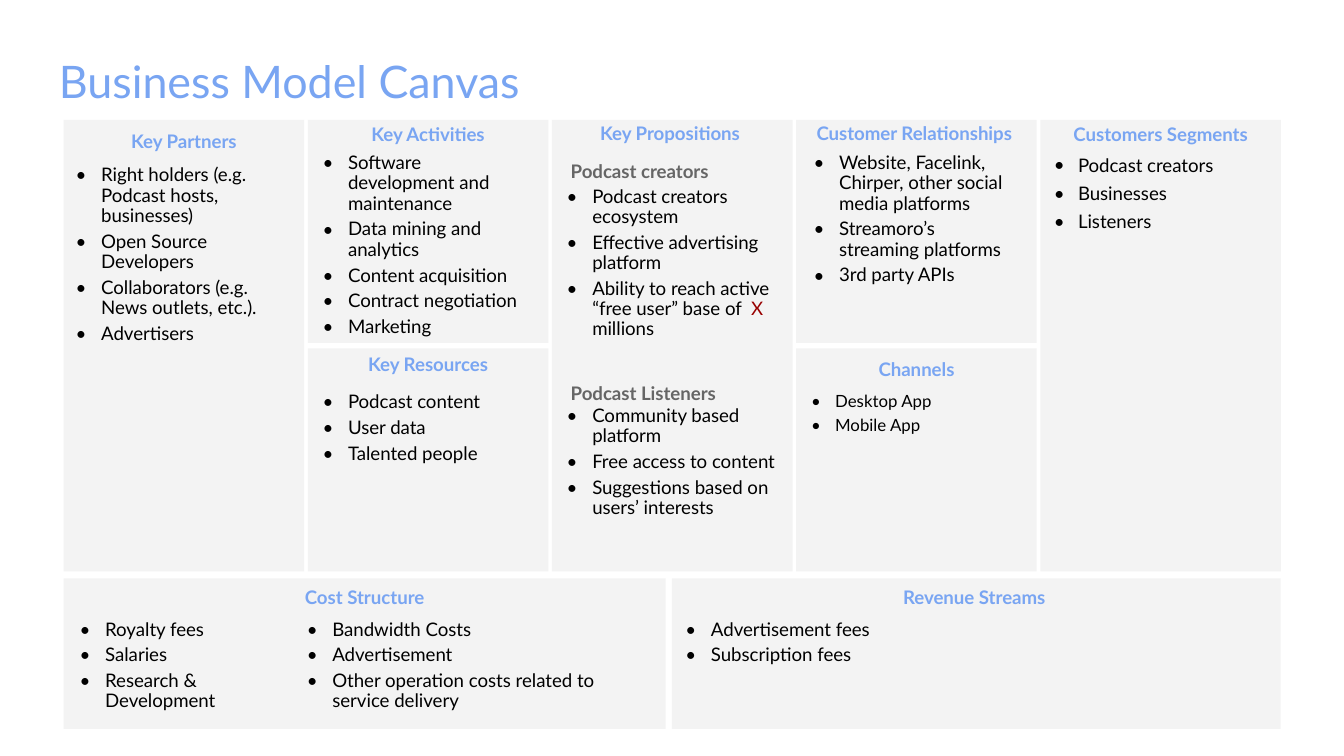
from lxml import etree
from pptx import Presentation
from pptx.dml.color import RGBColor
from pptx.enum.shapes import MSO_SHAPE
from pptx.enum.text import MSO_ANCHOR, PP_ALIGN
from pptx.oxml.ns import qn
from pptx.util import Inches, Pt

RECT = MSO_SHAPE.RECTANGLE
TOP, MIDDLE = MSO_ANCHOR.TOP, MSO_ANCHOR.MIDDLE
LEFT, CENTER = PP_ALIGN.LEFT, PP_ALIGN.CENTER
BLUE = RGBColor(0x79, 0xA5, 0xF2)
GRAY = RGBColor(0x66, 0x66, 0x66)
PALE = RGBColor(0xF3, 0xF3, 0xF3)
BLACK = RGBColor(0, 0, 0)
RED = RGBColor(0x98, 0, 0)

UNIT = Inches(0.1)
WIDE, HIGH = 100, 56.25
EDGE, ROOF, STEP, WIDTH = 4.73, 8.93, 18.17, 17.9
FULL, HALF, DROP = 33.6, 16.6, 17
BASE, FOOT = 43.03, 11.2
FACE = "Lato"
HEAD = {"size": Pt(10), "name": FACE, "bold": True}
BODY = {"size": Pt(10), "name": FACE}
SMALL = {"size": Pt(9), "name": FACE}
TITLE = {"size": Pt(24), "name": FACE}
TIGHT = {"line_spacing": 0.9, "space_before": Pt(3)}
LOOSE = {"space_before": Pt(3)}


def apply(item, values):
    """Set each named attribute on an object."""
    for name, value in values.items():
        setattr(item, name, value)


def scale(box):
    """Turn grid columns and rows into lengths."""
    return [round(part * UNIT) for part in box]


def add_box(slide, box, anchor=TOP, inset=0):
    """Add a wrapping text box and return its frame."""
    frame = slide.shapes.add_textbox(*scale(box)).text_frame
    sides = ("margin_left", "margin_top", "margin_right", "margin_bottom")
    apply(frame, {"word_wrap": True, "vertical_anchor": anchor})
    apply(frame, dict.fromkeys(sides, inset))
    return frame


def add_run(para, text, style, color):
    """Add one styled run to a paragraph."""
    run = para.add_run()
    run.text = text
    apply(run.font, style)
    run.font.color.rgb = color


def add_line(slide, box, text, style, color, align=LEFT, inset=0):
    """Place a single line in the middle of its box."""
    para = add_box(slide, box, MIDDLE, inset).paragraphs[0]
    para.alignment = align
    add_run(para, text, style, color)


def add_list(slide, box, items, style=BODY, space=TIGHT, hang=0.19):
    """Place a bulleted list; an item may be a list of coloured parts."""
    frame = add_box(slide, box)
    for index, item in enumerate(items):
        para = frame.add_paragraph() if index else frame.paragraphs[0]
        apply(para, space)
        props = para._p.get_or_add_pPr()
        props.set("marL", str(Inches(0.19)))
        props.set("indent", str(-Inches(hang)))
        tint = etree.SubElement(props, qn("a:buClr"))
        etree.SubElement(tint, qn("a:srgbClr"), val=str(BLACK))
        etree.SubElement(props, qn("a:buFont"), typeface=FACE)
        etree.SubElement(props, qn("a:buChar"), char="•")
        parts = [(item, BLACK)] if isinstance(item, str) else item
        for text, color in parts:
            add_run(para, text, style, color)


def add_card(slide, box, head, span, lists, notes=()):
    """Draw a card with its heading, subheads and lists."""
    left, top, width, _ = box
    text, wide = head
    drop, tall = span
    card = slide.shapes.add_shape(RECT, *scale(box))
    card.shadow.inherit = False
    card.fill.solid()
    card.fill.fore_color.rgb = PALE
    card.line.fill.background()
    place = (left + (width - wide) / 2, top + drop, wide, tall)
    add_line(slide, place, text, HEAD, BLUE, CENTER)
    for label, down in notes:
        place = (left + 1.4, top + down, 12.4, 2.2)
        add_line(slide, place, label, HEAD, GRAY)
    for (right, down, wide, tall), items, *look in lists:
        place = (left + right, top + down, wide, tall)
        add_list(slide, place, items, *look)


def add_upper(slide):
    """Lay out the five columns of cards."""
    def cell(col, row=0, high=FULL):
        """Give the box of a card in the column grid."""
        return EDGE + col * STEP, ROOF + row * DROP, WIDTH, high

    add_card(slide, cell(0), ("Key Partners", 10.3), (0.5, 2.2), [
        ((0.9, 3.4, 15.6, 17.3), [
            "Right holders (e.g. Podcast hosts, businesses)",
            "Open Source Developers",
            "Collaborators (e.g. News outlets, etc.).", "Advertisers"])])
    add_card(slide, cell(1, 0, HALF), ("Key Activities", 9), (0.5, 1.1), [
        ((1.1, 2.5, 15.6, 11.9), [
            "Software development and maintenance",
            "Data mining and analytics", "Content acquisition",
            "Contract negotiation", "Marketing"])])
    add_card(slide, cell(1, 1, HALF), ("Key Resources", 11.3), (0.6, 1.1), [
        ((1.1, 3.3, 15.6, 9.7), [
            "Podcast content", "User data", "Talented people"])])
    add_card(slide, cell(2), ("Key Propositions ", 12.4), (0.4, 1.1), [
        ((1.1, 5, 15.6, 12.9), [
            "Podcast creators ecosystem", "Effective advertising platform",
            [("Ability to reach active “free user” base of  ", BLACK),
             ("X", RED), (" millions", BLACK)]]),
        ((1.1, 21.3, 15.6, 9), [
            "Community based platform", "Free access to content",
            "Suggestions based on users’ interests"])],
        [("Podcast creators", 2.7), ("Podcast Listeners", 19.2)])
    add_card(slide, cell(3, 0, HALF), ("Customer Relationships ", 16),
             (0.4, 1.1), [
        ((1.3, 2.5, 15.3, 11.6), [
            "Website, Facelink, Chirper, other social media platforms",
            "Streamoro’s streaming platforms", "3rd party APIs"])])
    add_card(slide, cell(3, 1, HALF), ("Channels", 10.8), (0.7, 1.6), [
        ((1, 3.3, 15.9, 9.7), ["Desktop App", "Mobile App"],
         SMALL, TIGHT, 0.18)])
    add_card(slide, cell(4), ("Customers Segments", 16), (0.5, 1.1), [
        ((0.9, 2.5, 16, 10.6), ["Podcast creators", "Businesses", "Listeners"],
         BODY, LOOSE, 0.18)])


def add_lower(slide):
    """Lay out the cost and revenue cards."""
    add_card(slide, (EDGE, BASE, 44.8, FOOT), ("Cost Structure", 10.8),
             (0.8, 1.2), [
        ((1.2, 3.1, 17, 6.3), [
            "Royalty fees", "Salaries", "Research & Development"]),
        ((18.1, 3.1, 22.4, 6.3), [
            "Bandwidth Costs", "Advertisement",
            "Other operation costs related to service delivery"])])
    add_card(slide, (50, BASE, 45.3, FOOT), ("Revenue Streams ", 12.9),
             (0.8, 1.2), [
        ((1, 3.1, 43.2, 4.9), ["Advertisement fees", "Subscription fees"])])


def main():
    """Build and save the slide."""
    deck = Presentation()
    deck.slide_width, deck.slide_height = scale((WIDE, HIGH))
    slide = deck.slides.add_slide(deck.slide_layouts[6])
    add_upper(slide)
    add_lower(slide)
    add_line(slide, (3.4, 2.85, 93.2, 6.3), "Business Model Canvas",
             TITLE, BLUE, LEFT, UNIT)
    deck.save("out.pptx")


if __name__ == "__main__":
    main()
